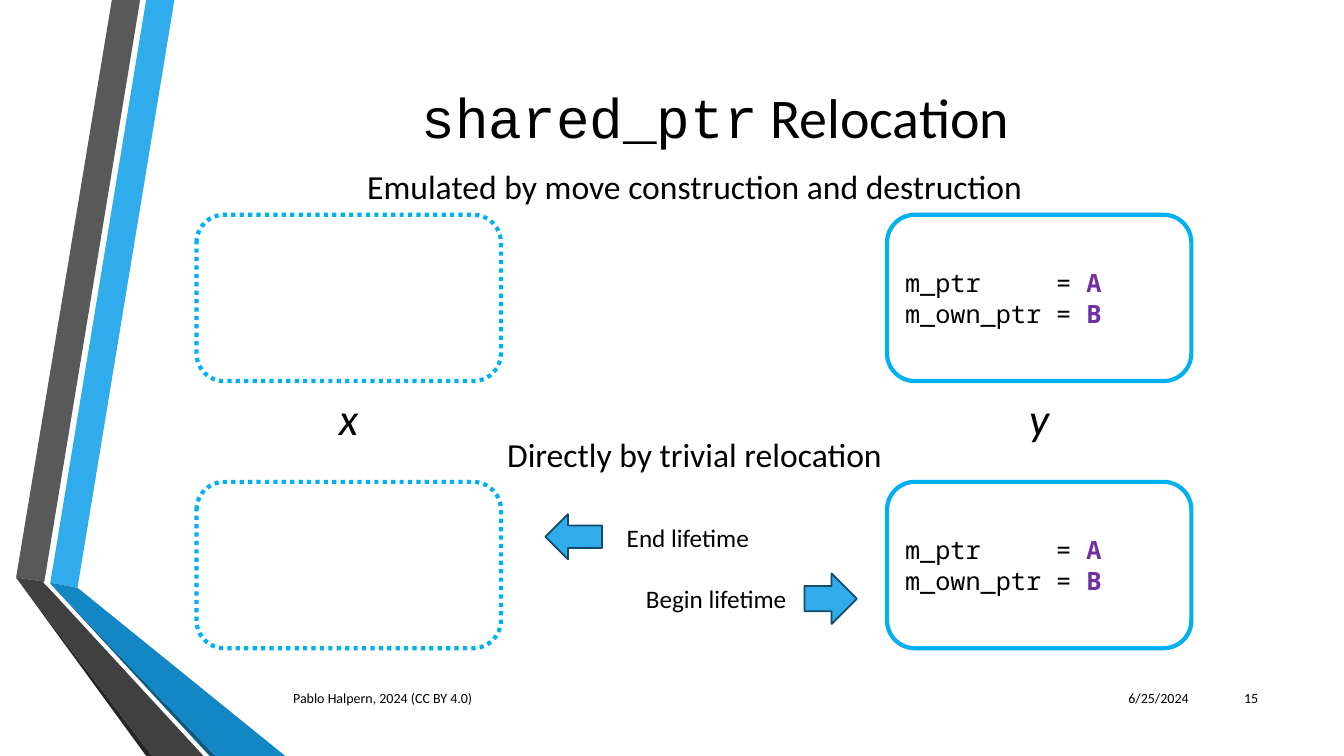
from lxml import etree
from pptx import Presentation
from pptx.dml.color import RGBColor
from pptx.enum.dml import MSO_LINE
from pptx.enum.shapes import MSO_SHAPE
from pptx.enum.text import MSO_ANCHOR, PP_ALIGN
from pptx.oxml.ns import qn
from pptx.util import Pt

LEFT, CENTER, RIGHT = PP_ALIGN.LEFT, PP_ALIGN.CENTER, PP_ALIGN.RIGHT
TOP, MIDDLE = MSO_ANCHOR.TOP, MSO_ANCHOR.MIDDLE
ROUNDED = MSO_SHAPE.ROUNDED_RECTANGLE
LEFT_ARROW, RIGHT_ARROW = MSO_SHAPE.LEFT_ARROW, MSO_SHAPE.RIGHT_ARROW
DOTTED = MSO_LINE.ROUND_DOT

SANS, COURIER, MONO = "Calibri", "Courier New", "Noto Sans Mono"
COLORS = {
    "text": "000000", "value": "7030A0", "white": "FFFFFF",
    "box line": "00B0F0", "arrow": "30ACEC", "arrow line": "154B67",
    "gray": "595959", "dark gray": "404040", "black gray": "262626",
    "blue": "30ACEC", "deep blue": "1287C3", "navy": "0C5A82",
}

# Ribbon facets at the left edge: colour and corner points
RIBBONS = [
    ("blue", [(36, 416.2), (55.4, 419.8), (124.6, 0), (104.4, 0)]),
    ("gray", [(100.1, 0), (79.9, 0), (11.5, 412.6), (31.7, 415.4)]),
    ("black gray", [(11.5, 412.6), (104.4, 540), (108.7, 540)]),
    ("navy", [(36, 416.9), (149.8, 540), (154.1, 540)]),
    ("deep blue", [(36, 416.9), (154.1, 540), (203.8, 540),
                   (55.4, 419.8), (36, 416.2)]),
    ("dark gray", [(145.4, 540), (34.6, 419.8), (31, 416.2), (31.7, 415.4),
                   (11.5, 412.6), (108.7, 540)]),
]

BOX_WIDTH, BOX_HEIGHT = 217.4, 118.8
X_LEFT, Y_LEFT = 140.4, 633.6
EQUALS_TAB = 108
MEMBERS = [("m_ptr", "A"), ("m_own_ptr", "B")]
# Heading, its top, top of the boxes below it
ROWS = [
    ("Emulated by move construction and destruction", 115.2, 153.4),
    ("Directly by trivial relocation", 306.7, 344.2),
]


def rgb(name):
    return RGBColor.from_string(COLORS[name])


def add_run(paragraph, text, size=18, font=SANS, color="text", bold=False,
            italic=False):
    run = paragraph.add_run()
    run.text = text
    run.font.size = Pt(size)
    run.font.name = font
    run.font.color.rgb = rgb(color)
    run.font.bold = bold
    run.font.italic = italic


def add_label(slide, box, align=LEFT, anchor=TOP):
    """Add an empty text box and return its paragraph."""
    frame = slide.shapes.add_textbox(*map(Pt, box)).text_frame
    frame.word_wrap = True
    frame.vertical_anchor = anchor
    frame.paragraphs[0].alignment = align
    return frame.paragraphs[0]


def add_ribbon(slide, color, points):
    corners = [(Pt(x), Pt(y)) for x, y in points]
    builder = slide.shapes.build_freeform(*corners[0], scale=1.0)
    builder.add_line_segments(corners[1:], close=True)
    shape = builder.convert_to_shape()
    shape.shadow.inherit = False
    shape.fill.solid()
    shape.fill.fore_color.rgb = rgb(color)
    shape.line.fill.background()


def add_outlined(slide, kind, box, line, width, fill=None, dash=None):
    shape = slide.shapes.add_shape(kind, *map(Pt, box))
    shape.shadow.inherit = False
    if fill:
        shape.fill.solid()
        shape.fill.fore_color.rgb = rgb(fill)
    else:
        shape.fill.background()
    shape.line.color.rgb = rgb(line)
    shape.line.width = Pt(width)
    if dash:
        shape.line.dash_style = dash
    return shape


def add_members(shape):
    """List the pointer members with their equals signs aligned."""
    frame = shape.text_frame
    frame.word_wrap = True
    frame.vertical_anchor = MIDDLE
    paragraph = frame.paragraphs[0]
    paragraph.alignment = LEFT
    for index, (name, value) in enumerate(MEMBERS):
        if index:
            paragraph.add_line_break()
        add_run(paragraph, f"{name}\t= ", font=MONO)
        add_run(paragraph, value, font=MONO, color="value", bold=True)
    # Tab stop for the equals signs
    tabs = etree.SubElement(paragraph._p.get_or_add_pPr(), qn("a:tabLst"))
    etree.SubElement(tabs, qn("a:tab"), pos=str(Pt(EQUALS_TAB)), algn="l")


def add_row(slide, heading, heading_top, box_top):
    """Add a heading, the emptied x box and the filled y box."""
    add_outlined(slide, ROUNDED, (X_LEFT, box_top, BOX_WIDTH, BOX_HEIGHT),
                 "box line", 3, dash=DOTTED)
    filled = add_outlined(slide, ROUNDED,
                          (Y_LEFT, box_top, BOX_WIDTH, BOX_HEIGHT),
                          "box line", 3, fill="white")
    add_members(filled)
    add_run(add_label(slide, (X_LEFT, heading_top, 711.4, 36), CENTER),
            heading, size=24)


def main():
    presentation = Presentation()
    presentation.slide_width, presentation.slide_height = Pt(960), Pt(540)
    slide = presentation.slides.add_slide(presentation.slide_layouts[6])

    for color, points in RIBBONS:
        add_ribbon(slide, color, points)

    # Title
    title = add_label(slide, (116.6, 31.7, 789.1, 103), CENTER, MIDDLE)
    add_run(title, "shared_ptr", size=40, font=COURIER)
    add_run(title, " Relocation", size=40)

    # Objects before and after relocation
    for row in ROWS:
        add_row(slide, *row)
    for name, left in (("x", X_LEFT), ("y", Y_LEFT)):
        box = (left + (BOX_WIDTH - 69) / 2, 275.8, 69, 46)
        add_run(add_label(slide, box, CENTER), name, size=32, italic=True)

    # Lifetime arrows
    for kind, box in ((LEFT_ARROW, (389.5, 367.2, 40.5, 32.4)),
                      (RIGHT_ARROW, (574.6, 409.7, 37.4, 36))):
        add_outlined(slide, kind, box, "arrow line", 1.25, fill="arrow")
    for text, left, top, align in (("End lifetime", 440.6, 369.4, LEFT),
                                   ("Begin lifetime", 389.5, 413.3, RIGHT)):
        add_run(add_label(slide, (left, top, 179.3, 29), align), text)

    # Footer
    for text, left, width, align in (
            ("Pablo Halpern, 2024 (CC BY 4.0)", 202.3, 558, LEFT),
            ("6/25/2024", 766.1, 90, RIGHT),
            ("15", 862.6, 43.2, RIGHT)):
        label = add_label(slide, (left, 483.8, width, 28.8), align, MIDDLE)
        add_run(label, text, size=10)

    presentation.save("out.pptx")


if __name__ == "__main__":
    main()
